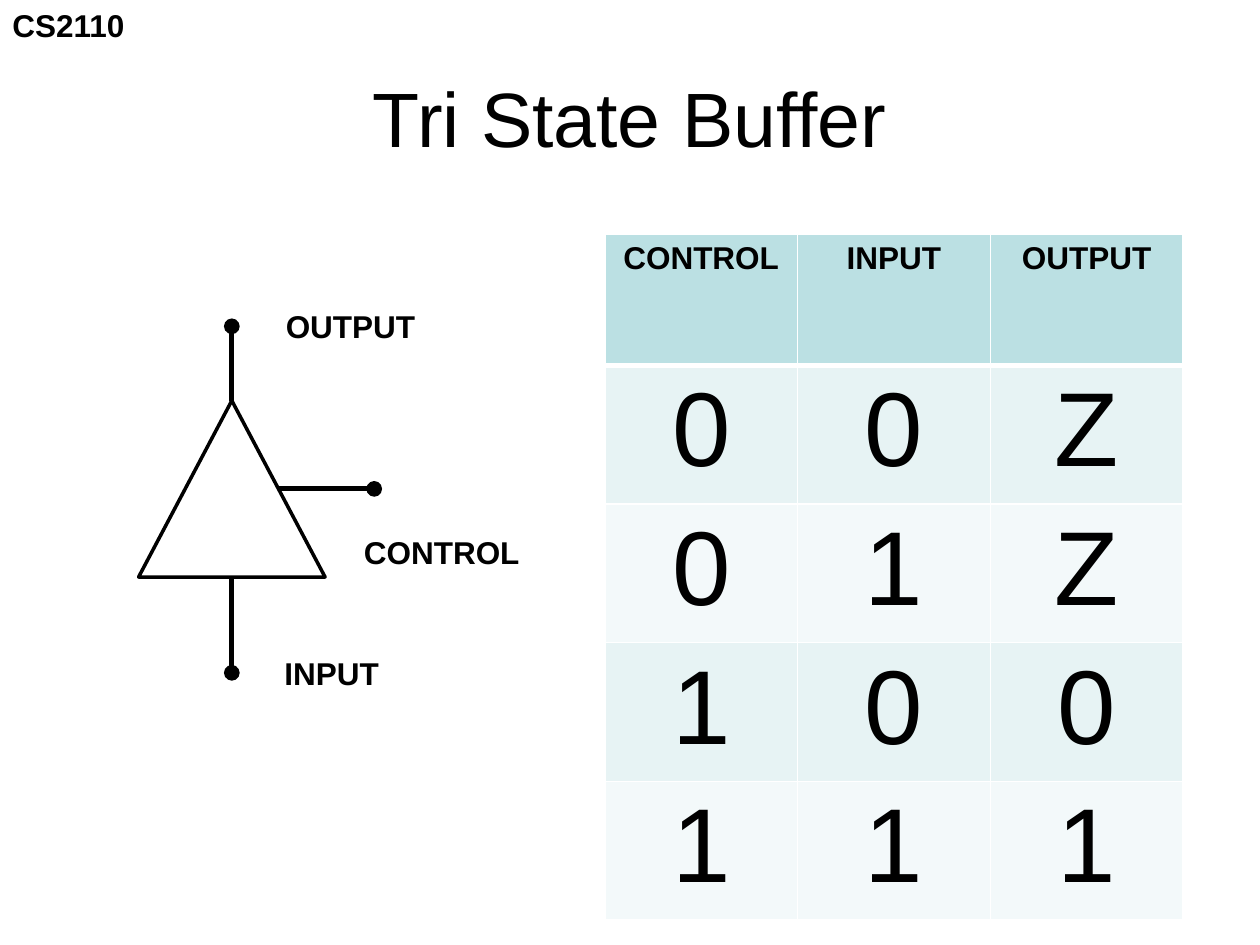
from lxml import etree
from pptx import Presentation
from pptx import util as u
from pptx.dml.color import RGBColor
from pptx.enum import shapes, text
from pptx.oxml import ns

COLORS = {
    "ink": "000000",
    "border": "FFFFFF",
    "header": "BBE0E3",
    "odd_row": "E7F3F4",
    "even_row": "F3F9FA",
}


class SlideBuilder:
    """Hold the slide and its style, and draw each kind of element."""

    font = "Arial"

    def __init__(self, slide):
        self.slide = slide

    def color(self, name):
        return RGBColor.from_string(COLORS[name])

    def format_text(self, frame, size, bold=False, align=text.PP_ALIGN.LEFT):
        for paragraph in frame.paragraphs:
            paragraph.alignment = align
            for run in paragraph.runs:
                run.font.name = self.font
                run.font.size = u.Pt(size)
                run.font.bold = bold
                run.font.color.rgb = self.color("ink")

    def title(self, words, left, top, width, height):
        shape = self.slide.shapes.title
        shape.left, shape.top = u.Inches(left), u.Inches(top)
        shape.width, shape.height = u.Inches(width), u.Inches(height)
        shape.text_frame.text = words
        shape.text_frame.vertical_anchor = text.MSO_ANCHOR.MIDDLE
        self.format_text(shape.text_frame, 44, align=text.PP_ALIGN.CENTER)

    def label(self, words, left, top, width, height=0.4):
        shape = self.slide.shapes.add_textbox(
            u.Inches(left), u.Inches(top), u.Inches(width), u.Inches(height))
        shape.text_frame.text = words
        shape.text_frame.word_wrap = False
        shape.text_frame.auto_size = text.MSO_AUTO_SIZE.SHAPE_TO_FIT_TEXT
        self.format_text(shape.text_frame, 18, bold=True)

    def triangle(self, left, top, width, height):
        shape = self.slide.shapes.add_shape(
            shapes.MSO_SHAPE.ISOSCELES_TRIANGLE,
            u.Inches(left), u.Inches(top), u.Inches(width), u.Inches(height))
        shape.shadow.inherit = False
        shape.fill.background()
        shape.line.color.rgb = self.color("ink")
        shape.line.width = u.Pt(2)

    def terminal(self, start, end):
        shape = self.slide.shapes.add_connector(
            shapes.MSO_CONNECTOR.STRAIGHT,
            *(u.Inches(value) for value in (*start, *end)))
        shape.line.color.rgb = self.color("ink")
        shape.line.width = u.Pt(3)
        properties = shape._element.spPr
        line = properties.find(ns.qn("a:ln"))
        etree.SubElement(line, ns.qn("a:tailEnd"), type="oval")
        etree.SubElement(properties, ns.qn("a:effectLst"))

    def cell_borders(self, cell, bottom):
        properties = cell._tc.get_or_add_tcPr()
        widths = {"lnL": 1, "lnR": 1, "lnT": 1, "lnB": bottom}
        for position, (side, width) in enumerate(widths.items()):
            line = etree.Element(ns.qn(f"a:{side}"), w=str(u.Pt(width)))
            fill = etree.SubElement(line, ns.qn("a:solidFill"))
            etree.SubElement(fill, ns.qn("a:srgbClr"), val=COLORS["border"])
            properties.insert(position, line)

    def table(self, rows, left, top, column_width, row_heights):
        columns = len(rows[0])
        table = self.slide.shapes.add_table(
            len(rows), columns, u.Inches(left), u.Inches(top),
            u.Inches(column_width * columns), u.Inches(sum(row_heights))).table
        for column in table.columns:
            column.width = u.Inches(column_width)
        for i, (words, height) in enumerate(zip(rows, row_heights)):
            header = i == 0
            fill = "header" if header else "odd_row" if i % 2 else "even_row"
            table.rows[i].height = u.Inches(height)
            for cell, word in zip(table.rows[i].cells, words):
                cell.text_frame.text = word
                self.format_text(cell.text_frame, 18 if header else 60,
                                 header, text.PP_ALIGN.CENTER)
                cell.fill.solid()
                cell.fill.fore_color.rgb = self.color(fill)
                self.cell_borders(cell, 3 if header else 1)


def main():
    presentation = Presentation()
    presentation.slide_width = u.Inches(10)
    presentation.slide_height = u.Inches(7.5)
    layout = presentation.slide_layouts.get_by_name("Title Only")
    builder = SlideBuilder(presentation.slides.add_slide(layout))

    builder.label("CS2110", 0, 0, 1.1)
    builder.title("Tri State Buffer", 0.5, 0.3, 9, 1.25)

    builder.triangle(1.1, 3.18, 1.48, 1.4)
    builder.terminal((1.84, 4.59), (1.84, 5.34))
    builder.terminal((1.84, 3.18), (1.84, 2.59))
    builder.terminal((2.21, 3.88), (2.97, 3.88))
    builder.label("CONTROL", 2.79, 4.18, 1.44)
    builder.label("INPUT", 2.16, 5.14, 0.96)
    builder.label("OUTPUT", 2.17, 2.39, 1.24)

    truth_table = [("CONTROL", "INPUT", "OUTPUT"), *("00Z", "01Z", "100", "111")]
    builder.table(truth_table, 4.8, 1.86, 1.53, [1.04] + [1.1] * 4)

    presentation.save("out.pptx")


if __name__ == "__main__":
    main()
